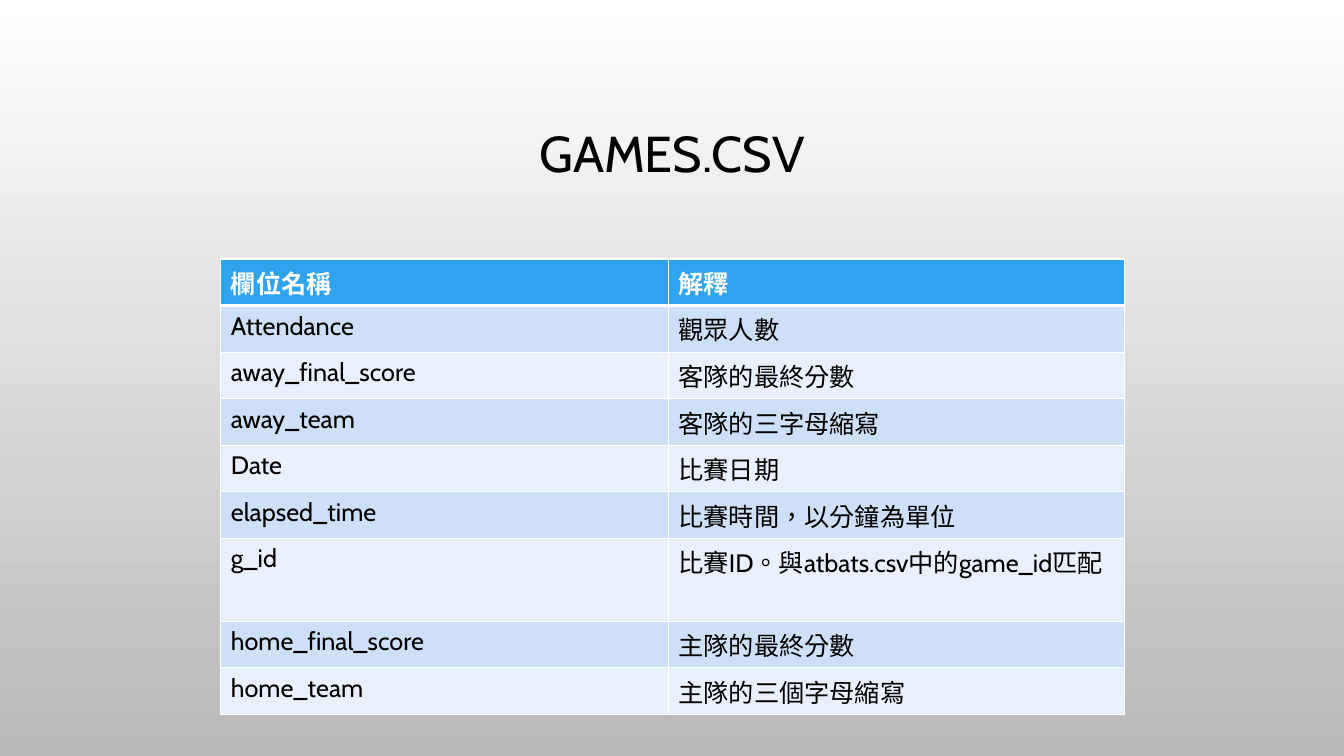
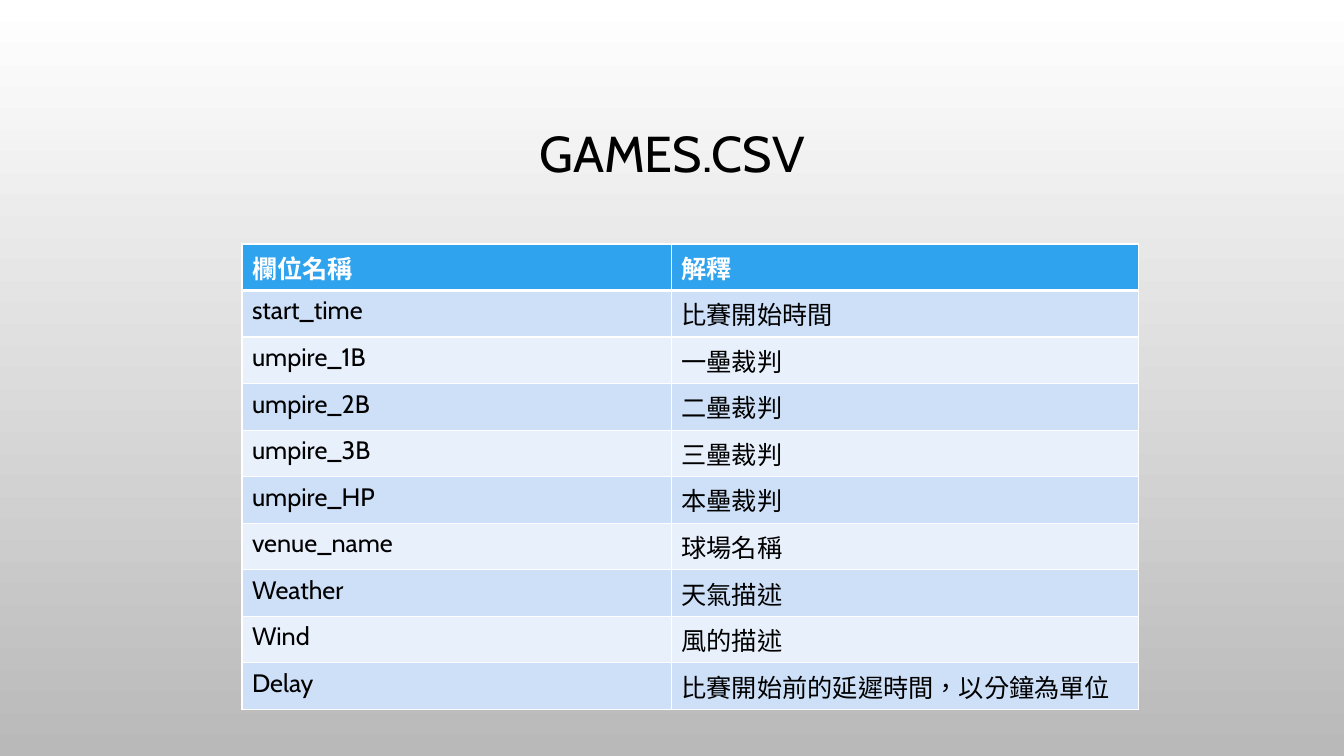
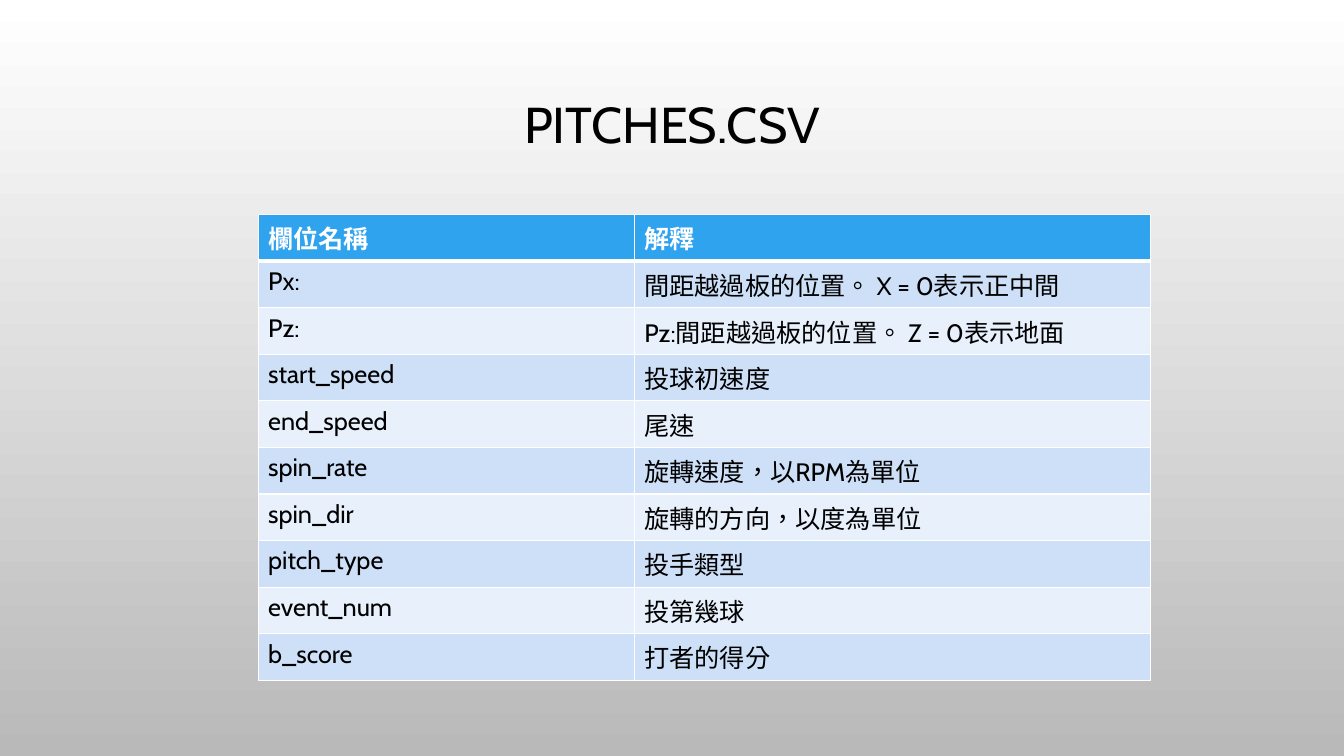
from lxml.etree import SubElement
from pptx import Presentation
from pptx.dml.color import RGBColor
from pptx.enum.lang import MSO_LANGUAGE_ID
from pptx.enum.text import MSO_ANCHOR, PP_ALIGN
from pptx.oxml.ns import qn
from pptx.util import Inches, Pt

HUES = {
    "top": "FFFFFF",
    "base": "B9B9B9",
    "head": "2FA3EE",
    "odd": "CDE0F8",
    "even": "E8F0FC",
    "light": "FFFFFF",
    "dark": "000000",
}
FONT = "Cabin"
ROW = 4.62 / 10
LINE = 0.36
HEADS = ("欄位名稱", "解釋")

PAGES = [
    {
        "title": "GAMES.CSV", "top": 0.67, "at": (2.19, 2.57), "cols": (4.44, 4.52),
        "tall": "g_id",
        "rows": [
            ("Attendance", "觀眾人數"),
            ("away_final_score", "客隊的最終分數"),
            ("away_team", "客隊的三字母縮寫"),
            ("Date", "比賽日期"),
            ("elapsed_time", "比賽時間，以分鐘為單位"),
            ("g_id", "比賽ID。與atbats.csv中的game_id匹配"),
            ("home_final_score", "主隊的最終分數"),
            ("home_team", "主隊的三個字母縮寫"),
        ],
    },
    {
        "title": "GAMES.CSV", "top": 0.67, "at": (2.4, 2.42), "cols": (4.26, 4.63),
        "tall": None,
        "rows": [
            ("start_time", "比賽開始時間"),
            ("umpire_1B", "一壘裁判"),
            ("umpire_2B", "二壘裁判"),
            ("umpire_3B", "三壘裁判"),
            ("umpire_HP", "本壘裁判"),
            ("venue_name", "球場名稱"),
            ("Weather", "天氣描述"),
            ("Wind", "風的描述"),
            ("Delay", "比賽開始前的延遲時間，以分鐘為單位"),
        ],
    },
    {
        "title": "PITCHES.CSV", "top": 0.39, "at": (2.56, 2.13), "cols": (3.73, 5.12),
        "tall": None,
        "rows": [
            ("Px:", "間距越過板的位置。 X = 0表示正中間"),
            ("Pz:", "Pz:間距越過板的位置。 Z = 0表示地面"),
            ("start_speed", "投球初速度"),
            ("end_speed", "尾速"),
            ("spin_rate", "旋轉速度，以RPM為單位"),
            ("spin_dir", "旋轉的方向，以度為單位"),
            ("pitch_type", "投手類型"),
            ("event_num", "投第幾球"),
            ("b_score", "打者的得分"),
        ],
    },
]


def write(frame, text, size=18, hue="dark", bold=False, align=PP_ALIGN.LEFT, space=None):
    para = frame.paragraphs[0]
    para.alignment = align
    para.line_spacing = space
    run = para.add_run()
    run.text = text
    font = run.font
    font.name = FONT
    font.size = Pt(size)
    font.bold = bold
    font.color.rgb = RGBColor.from_string(HUES[hue])
    font.language_id = MSO_LANGUAGE_ID.TRADITIONAL_CHINESE


def border(cell, **widths):
    props = cell._tc.get_or_add_tcPr()
    for side in "LRTB":
        line = SubElement(props, qn("a:ln" + side), w=str(Pt(widths.get(side, 1))))
        fill = SubElement(line, qn("a:solidFill"))
        SubElement(fill, qn("a:srgbClr"), val=HUES["light"])


prs = Presentation()
prs.slide_width = Inches(13.33)
prs.slide_height = Inches(7.5)

back = prs.slide_master.background.fill
back.gradient()
back.gradient_angle = 270
for stop, hue in zip(back.gradient_stops, ("top", "base")):
    stop.color.rgb = RGBColor.from_string(HUES[hue])

for page in PAGES:
    slide = prs.slides.add_slide(prs.slide_layouts[6])
    title = slide.shapes.add_textbox(
        Inches(1), Inches(page["top"]), Inches(11.33), Inches(1.75)
    ).text_frame
    title.word_wrap = True
    title.vertical_anchor = MSO_ANCHOR.MIDDLE
    write(title, page["title"], size=36, align=PP_ALIGN.CENTER, space=0.9)

    rows = [HEADS] + page["rows"]
    highs = [ROW + LINE if row[0] == page["tall"] else ROW for row in rows]
    left, top = page["at"]
    table = slide.shapes.add_table(
        len(rows), len(HEADS), Inches(left), Inches(top),
        Inches(sum(page["cols"])), Inches(sum(highs)),
    ).table
    for col, width in zip(table.columns, page["cols"]):
        col.width = Inches(width)
    for i, row in enumerate(rows):
        table.rows[i].height = Inches(highs[i])
        head = i == 0
        shade = "head" if head else "odd" if i % 2 else "even"
        for j, text in enumerate(row):
            cell = table.cell(i, j)
            border(cell, T=3 if i == 1 else 1, B=3 if head else 1)
            cell.fill.solid()
            cell.fill.fore_color.rgb = RGBColor.from_string(HUES[shade])
            write(cell.text_frame, text, hue="light" if head else "dark", bold=head)

prs.save("out.pptx")
